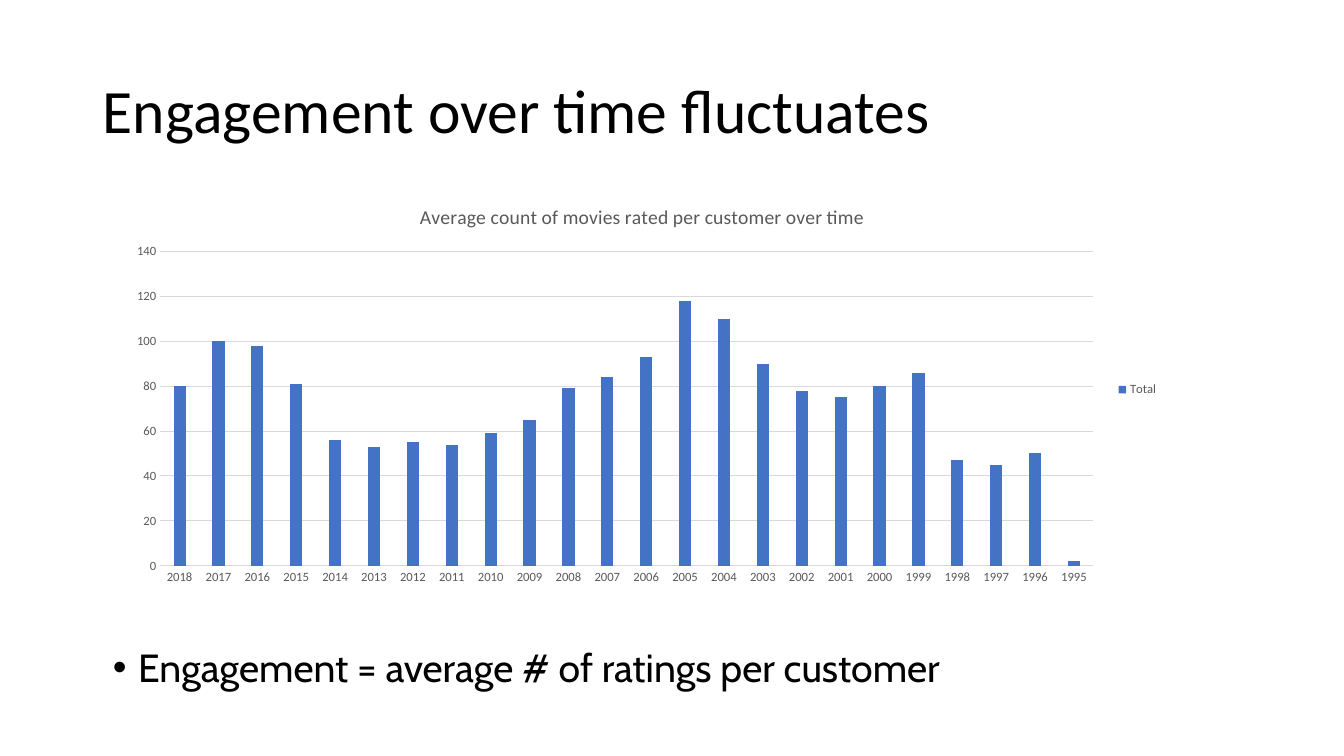
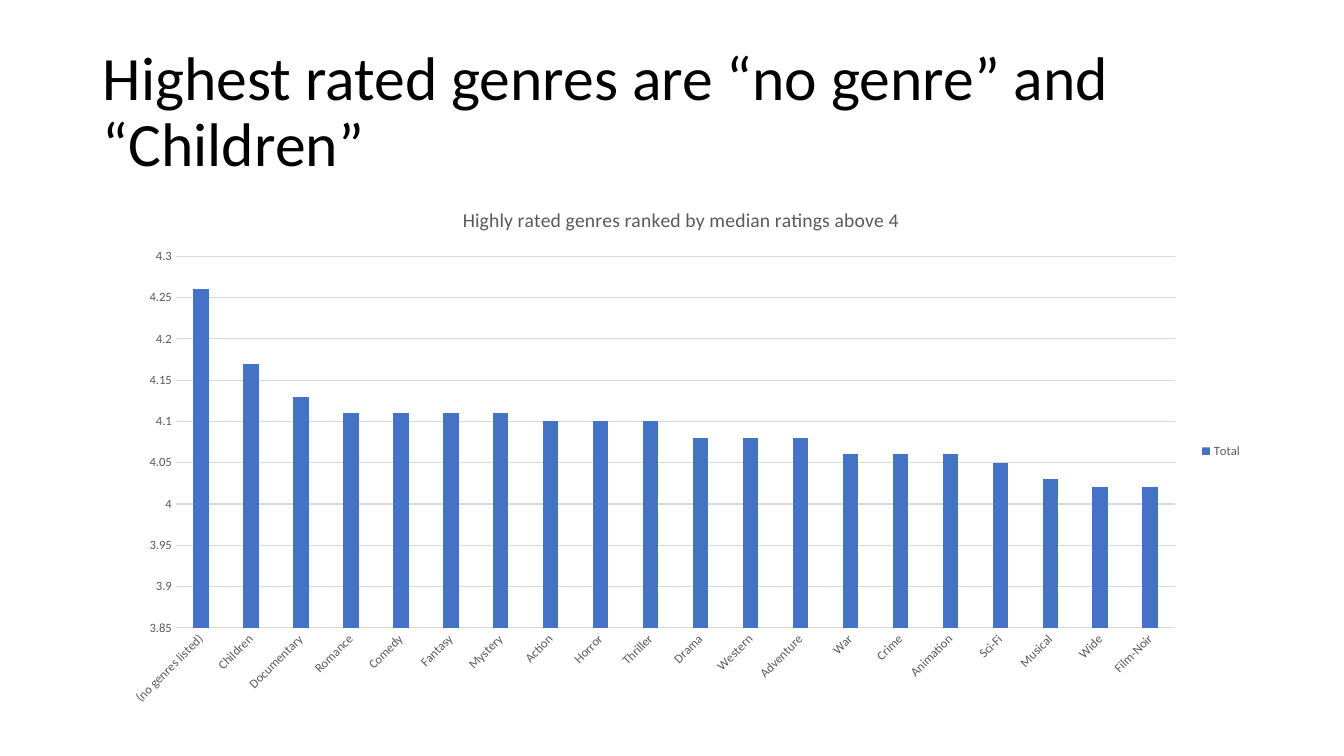
"""Build two slides on movie ratings, each with a title and a column chart."""
from pptx import Presentation
from pptx.chart.data import CategoryChartData
from pptx.dml.color import RGBColor
from pptx.enum.chart import XL_CHART_TYPE, XL_LEGEND_POSITION, XL_TICK_MARK
from pptx.enum.text import MSO_ANCHOR, MSO_AUTO_SIZE, PP_ALIGN
from pptx.util import Inches, Pt

COLUMN = XL_CHART_TYPE.COLUMN_CLUSTERED
LEGEND_RIGHT = XL_LEGEND_POSITION.RIGHT
NO_TICK = XL_TICK_MARK.NONE
MIDDLE = MSO_ANCHOR.MIDDLE
NO_AUTOFIT = MSO_AUTO_SIZE.NONE
LEFT = PP_ALIGN.LEFT

BLACK = RGBColor(0x00, 0x00, 0x00)
GRAY = RGBColor(0x59, 0x59, 0x59)
GRID = RGBColor(0xD9, 0xD9, 0xD9)
BLUE = RGBColor(0x44, 0x72, 0xC4)

TITLE_AND_CONTENT, TITLE_ONLY = 1, 5


def set_font(font, name, size, color):
    font.name = name
    font.size = Pt(size)
    font.bold = False
    font.color.rgb = color


def place_text(shape, box, text, name, size):
    shape.left, shape.top, shape.width, shape.height = map(Inches, box)
    frame = shape.text_frame
    frame.text = text
    frame.word_wrap = True
    frame.auto_size = NO_AUTOFIT
    paragraph = frame.paragraphs[0]
    paragraph.alignment = LEFT
    paragraph.line_spacing = 0.9
    set_font(paragraph.font, name, size, BLACK)
    return paragraph


SLIDES = [
    {
        "layout": TITLE_AND_CONTENT,
        "title": "Engagement over time fluctuates",
        "bullet": "Engagement = average # of ratings per customer",
        "chart_title": "Average count of movies rated per customer over time",
        "box": (1.15, 1.85, 10.44, 4.03),
        "categories": [str(year) for year in range(2018, 1994, -1)],
        "values": [80, 100, 98, 81, 56, 53, 55, 54, 59, 65, 79, 84,
                   93, 118, 110, 90, 78, 75, 80, 86, 47, 45, 50, 2],
        "scale": (0, 140, 20),
        "label_rotation": 0,
    },
    {
        "layout": TITLE_ONLY,
        "title": "Highest rated genres are “no genre” and “Children”",
        "bullet": None,
        "chart_title": "Highly rated genres ranked by median ratings above 4",
        "box": (1.09, 1.85, 11.33, 5.25),
        "categories": ["(no genres listed)", "Children", "Documentary", "Romance", "Comedy",
                       "Fantasy", "Mystery", "Action", "Horror", "Thriller", "Drama",
                       "Western", "Adventure", "War", "Crime", "Animation", "Sci-Fi",
                       "Musical", "Wide", "Film-Noir"],
        "values": [4.26, 4.17, 4.13, 4.11, 4.11, 4.11, 4.11, 4.1, 4.1, 4.1,
                   4.08, 4.08, 4.08, 4.06, 4.06, 4.06, 4.05, 4.03, 4.02, 4.02],
        "scale": (3.85, 4.3, 0.05),
        "label_rotation": -45,
    },
]

presentation = Presentation()
presentation.slide_width = Inches(13.33)
presentation.slide_height = Inches(7.5)

for content in SLIDES:
    slide = presentation.slides.add_slide(presentation.slide_layouts[content["layout"]])
    title = slide.shapes.title
    place_text(title, (0.92, 0.4, 11.5, 1.45), content["title"], "Calibri", 44)
    title.text_frame.vertical_anchor = MIDDLE

    if content["bullet"]:
        paragraph = place_text(slide.placeholders[1], (1.02, 6.38, 9.31, 0.6),
                               content["bullet"], "Cabin", 28)
        paragraph.space_before = Pt(10)
        properties = paragraph._p.get_or_add_pPr()
        properties.set("marL", str(Inches(0.25)))
        properties.set("indent", str(Inches(-0.25)))

    chart_data = CategoryChartData()
    chart_data.categories = content["categories"]
    chart_data.add_series("Total", content["values"])
    chart = slide.shapes.add_chart(COLUMN, *map(Inches, content["box"]), chart_data).chart
    set_font(chart.font, "Calibri", 10, BLACK)

    chart.has_title = True
    chart.chart_title.text_frame.text = content["chart_title"]
    chart.chart_title.include_in_layout = False
    set_font(chart.chart_title.text_frame.paragraphs[0].font, "Calibri", 14, GRAY)

    chart.has_legend = True
    chart.legend.position = LEGEND_RIGHT
    chart.legend.include_in_layout = False
    set_font(chart.legend.font, "Calibri", 9, GRAY)

    plot = chart.plots[0]
    plot.gap_width = 219
    plot.overlap = -27
    plot.vary_by_categories = False
    series = plot.series[0]
    series.format.fill.solid()
    series.format.fill.fore_color.rgb = BLUE

    category_axis, value_axis = chart.category_axis, chart.value_axis
    for axis in (category_axis, value_axis):
        axis.major_tick_mark = NO_TICK
        axis.minor_tick_mark = NO_TICK
        set_font(axis.tick_labels.font, "Calibri", 9, GRAY)

    value_axis.minimum_scale, value_axis.maximum_scale, value_axis.major_unit = content["scale"]
    value_axis.tick_labels.number_format = "General"
    value_axis.tick_labels.number_format_is_linked = False
    value_axis.format.line.fill.background()
    value_axis.has_major_gridlines = True
    for line in (category_axis.format.line, value_axis.major_gridlines.format.line):
        line.color.rgb = GRID
        line.width = Pt(0.75)

    label_body = category_axis._element.txPr.bodyPr
    label_body.set("rot", str(content["label_rotation"] * 60000))
    label_body.set("vert", "horz")

presentation.save("out.pptx")
